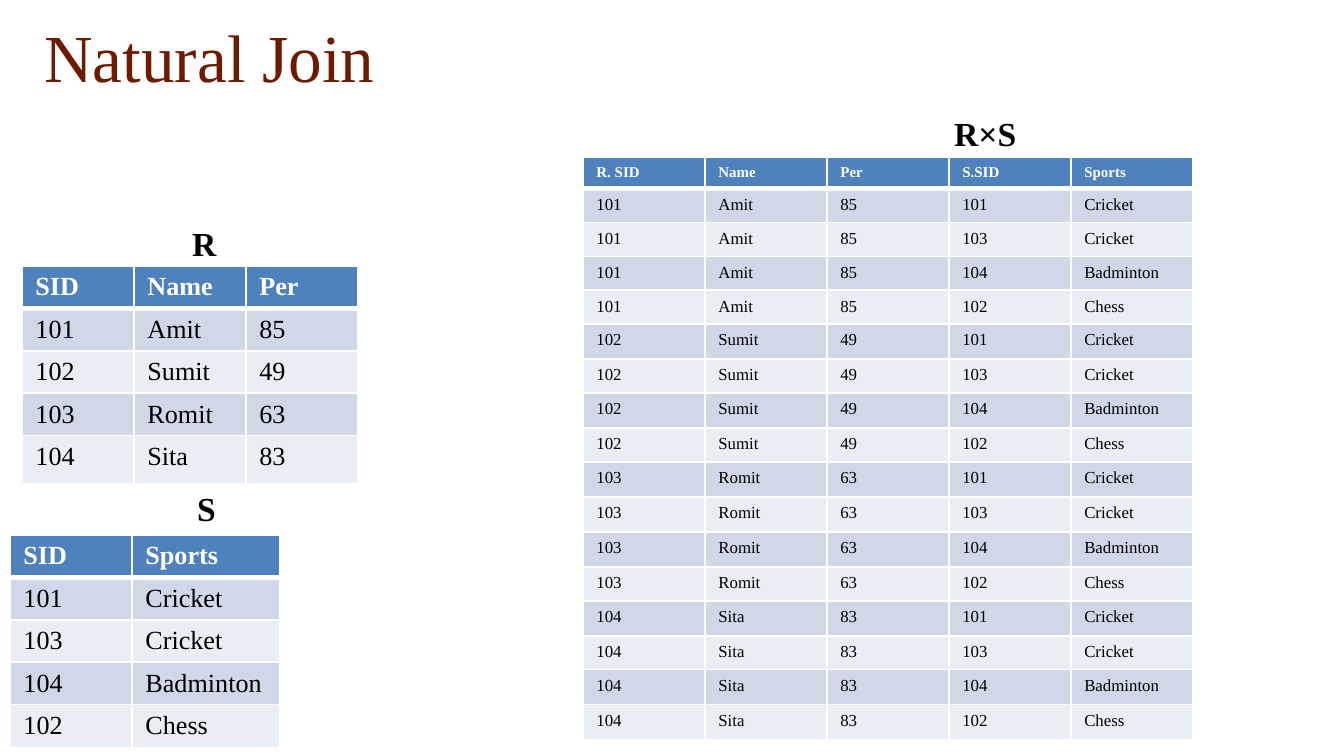
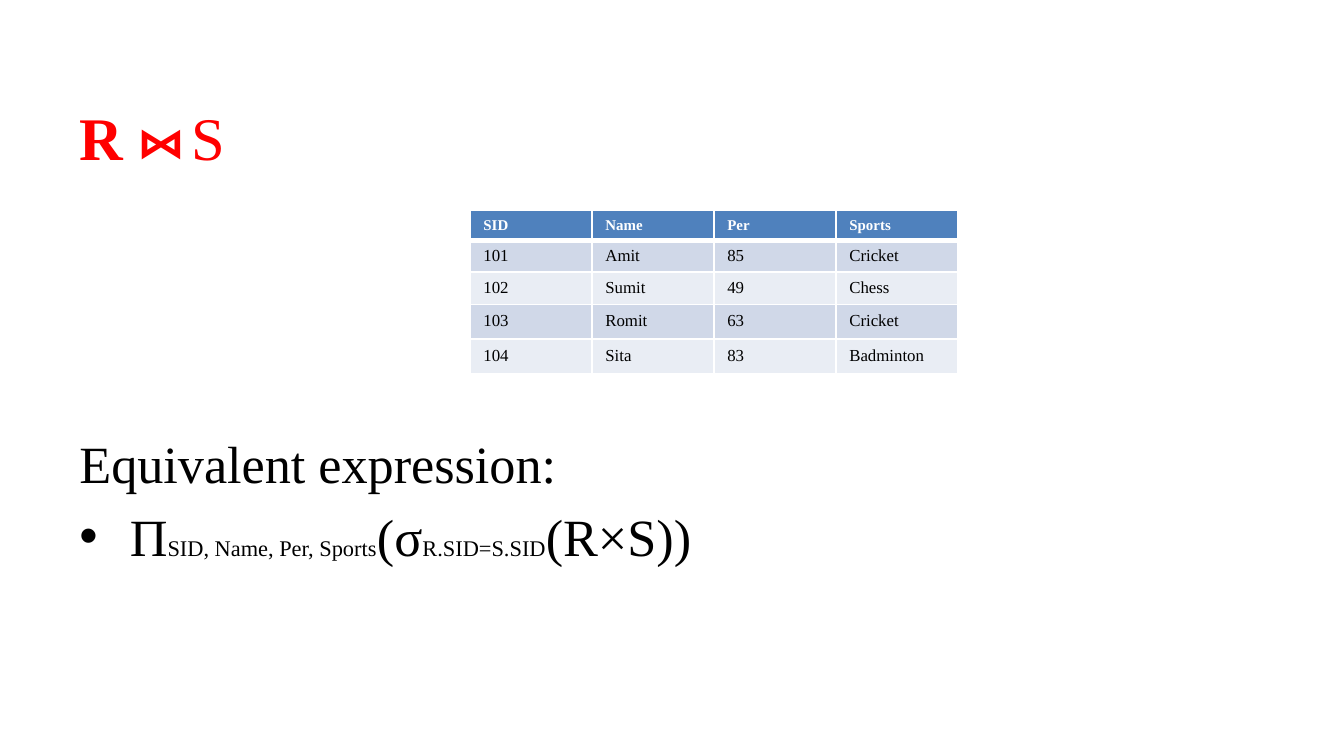
from dataclasses import dataclass
from itertools import product

from lxml import etree
from pptx import Presentation
from pptx import util as u
from pptx.dml.color import RGBColor
from pptx.enum import text
from pptx.oxml.ns import qn

# Content
R_HEAD = ("SID", "Name", "Per")
R_ROWS = [("101", "Amit", "85"), ("102", "Sumit", "49"),
          ("103", "Romit", "63"), ("104", "Sita", "83")]
S_HEAD = ("SID", "Sports")
S_ROWS = [("101", "Cricket"), ("103", "Cricket"),
          ("104", "Badminton"), ("102", "Chess")]
PRODUCT_HEAD = ("R. SID", "Name", "Per", "S.SID", "Sports")
PRODUCT_ROWS = [r + s for r, s in product(R_ROWS, S_ROWS)]
JOIN_HEAD = ("SID", "Name", "Per", "Sports")
JOIN_ROWS = [row[:3] + row[4:] for row in PRODUCT_ROWS if row[0] == row[3]]

CAPTIONS = [("R", 179, 216), ("S", 184, 481), ("R×S", 941, 106)]
EXPRESSION_LABEL = "Equivalent expression:"
# (text, is subscript)
EXPRESSION = [("П", False), ("SID, Name, Per, Sports", True), ("(σ", False),
              ("R.SID=S.SID", True), ("(R×S))", False)]


@dataclass(frozen=True)
class Theme:
    font: str = "Times New Roman"
    heading: str = "6C1A00"
    accent: str = "FF0000"
    ink: str = "000000"
    paper: str = "FFFFFF"
    header: str = "4F81BD"
    bands: tuple = ("D0D8E8", "E9EDF4")
    title_size: float = 36
    join_size: float = 32.4
    join_gap_size: float = 16.2
    caption_size: float = 18
    body_size: float = 28
    subscript_size: float = 12
    large_table: tuple = (14, 14)  # header, rows
    small_table: tuple = (8, 9)
    rule: float = 1
    header_rule: float = 3


THEME = Theme()
EMU_PER_PX = 914400 / 134.4


def px(length):
    return u.Emu(round(length * EMU_PER_PX))


def place(shape, left, top, width, height):
    shape.left, shape.top = px(left), px(top)
    shape.width, shape.height = px(width), px(height)


def add_run(paragraph, words, size, color=THEME.ink, bold=False):
    run = paragraph.add_run()
    run.text = words
    font = run.font
    font.name, font.size, font.bold = THEME.font, u.Pt(size), bold
    font.color.rgb = RGBColor.from_string(color)


def place_title(slide, left, top):
    """Position the title and return its frame and first paragraph."""
    place(slide.shapes.title, left, top, 1212, 113)
    frame = slide.shapes.title.text_frame
    frame.auto_size = text.MSO_AUTO_SIZE.NONE
    frame.vertical_anchor = text.MSO_ANCHOR.MIDDLE
    heading = frame.paragraphs[0]
    heading.alignment = text.PP_ALIGN.LEFT
    return frame, heading


def add_border(cell, side, points):
    line = etree.SubElement(cell._tc.get_or_add_tcPr(), qn(f"a:ln{side}"),
                            w=str(u.Pt(points)))
    fill = etree.SubElement(line, qn("a:solidFill"))
    etree.SubElement(fill, qn("a:srgbClr"), val=THEME.paper)


def add_relation(slide, left, top, head, rows, widths, heights, sizes):
    """Draw a relation as a table with a header row and banded rows."""
    table = slide.shapes.add_table(
        len(rows) + 1, len(head), px(left), px(top),
        px(sum(widths)), px(sum(heights))).table
    for column, width in zip(table.columns, widths):
        column.width = px(width)
    for i, (values, height) in enumerate(zip([head, *rows], heights)):
        is_head = i == 0
        table.rows[i].height = px(height)
        fill = THEME.header if is_head else THEME.bands[(i - 1) % 2]
        for cell, value in zip(table.rows[i].cells, values):
            for side in "LRT" if is_head else "LR":
                add_border(cell, side, THEME.rule)
            add_border(cell, "B", THEME.header_rule if is_head else THEME.rule)
            cell.fill.solid()
            cell.fill.fore_color.rgb = RGBColor.from_string(fill)
            add_run(cell.text_frame.paragraphs[0], value,
                    sizes[0] if is_head else sizes[1],
                    THEME.paper if is_head else THEME.ink, is_head)


def add_caption(slide, name, left, top):
    frame = slide.shapes.add_textbox(px(left), px(top), px(90), px(54)).text_frame
    frame.word_wrap = True
    add_run(frame.paragraphs[0], name, THEME.caption_size, bold=True)


def build_product(prs):
    slide = prs.slides.add_slide(prs.slide_layouts[5])
    _, heading = place_title(slide, 31, -1)
    add_run(heading, "Natural Join", THEME.title_size, THEME.heading)
    add_relation(slide, 22, 266, R_HEAD, R_ROWS, [112] * 3,
                 [42] * 4 + [48], THEME.large_table)
    add_relation(slide, 10, 535, S_HEAD, S_ROWS, [122, 148],
                 [42] * 4 + [43], THEME.large_table)
    for caption in CAPTIONS:
        add_caption(slide, *caption)
    heights = [31, 34, 34, 34, 33, 35, 34, 35, 34, 35, 35, 35, 34, 35, 33, 35, 35]
    add_relation(slide, 583, 157, PRODUCT_HEAD, PRODUCT_ROWS, [122] * 5,
                 heights, THEME.small_table)


def build_join(prs):
    slide = prs.slides.add_slide(prs.slide_layouts[1])
    frame, heading = place_title(slide, 66, 42)
    frame.vertical_anchor = text.MSO_ANCHOR.TOP
    frame.margin_top = px(58)
    add_run(heading, "R ⋈", THEME.join_size, THEME.accent, True)
    add_run(heading, " ", THEME.join_gap_size, THEME.accent)
    add_run(heading, "S", THEME.join_size, THEME.accent)

    body = slide.placeholders[1]
    place(body, 66, 199, 1212, 516)
    frame = body.text_frame
    frame.auto_size = text.MSO_AUTO_SIZE.NONE
    frame.margin_top = px(232)
    label = frame.paragraphs[0]
    label.space_before = u.Pt(0)
    properties = label._p.get_or_add_pPr()
    properties.set("marL", "0")
    properties.set("indent", "0")
    etree.SubElement(properties, qn("a:buNone"))
    add_run(label, EXPRESSION_LABEL, THEME.body_size)
    expression = frame.add_paragraph()
    for words, is_subscript in EXPRESSION:
        add_run(expression, words,
                THEME.subscript_size if is_subscript else THEME.body_size)

    add_relation(slide, 470, 210, JOIN_HEAD, JOIN_ROWS, [122] * 4,
                 [30, 32, 32, 35, 35], THEME.small_table)


def main():
    prs = Presentation()
    prs.slide_width, prs.slide_height = px(1344), px(756)
    build_product(prs)
    build_join(prs)
    prs.save("out.pptx")


if __name__ == "__main__":
    main()
